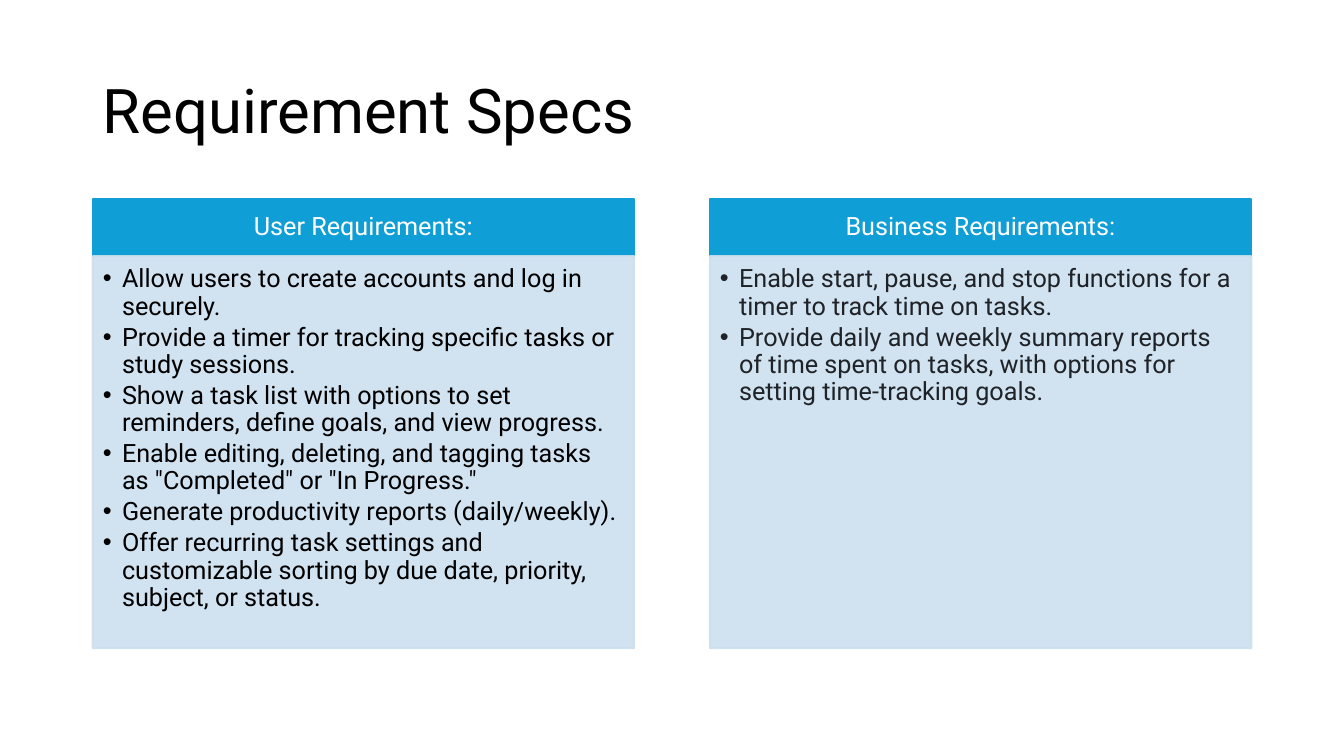
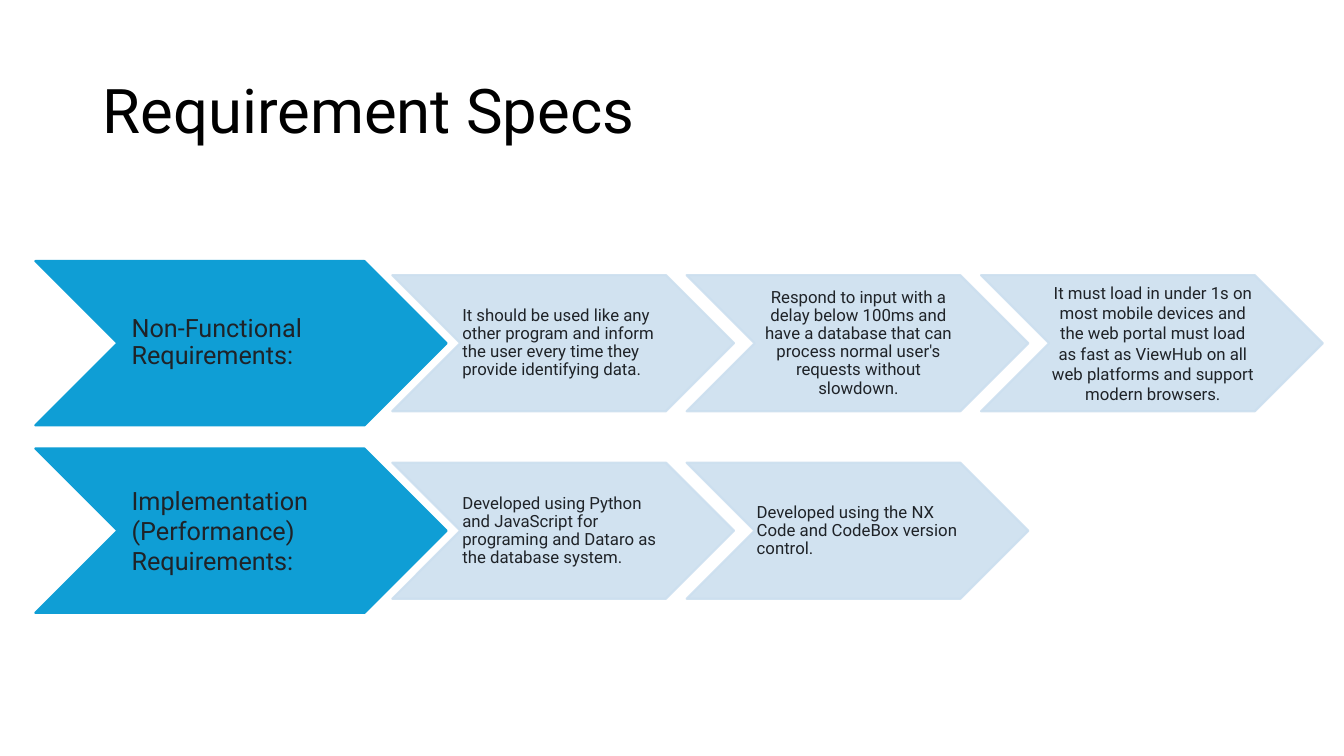
from dataclasses import dataclass
from itertools import chain

from lxml.etree import SubElement
from pptx import Presentation
from pptx.dml.color import RGBColor
from pptx.enum.shapes import MSO_SHAPE
from pptx.enum.text import MSO_ANCHOR, MSO_AUTO_SIZE, PP_ALIGN
from pptx.oxml.ns import qn
from pptx.util import Emu, Pt

PX = 9144
FONT = "Roboto"
COLORS = {
    "accent": "0F9ED5",
    "pale": "CCDFEF",
    "black": "000000",
    "white": "FFFFFF",
    "ink": "1F2328",
}
LEFT, CENTER = PP_ALIGN.LEFT, PP_ALIGN.CENTER
HEAD_INSETS = (14, 8, 14, 8)
LIST_INSETS = (10, 10, 14, 16)
STEP_INSETS = (2, 1, 0, 1)
COL_W, COL_TOP, HEAD_H, LIST_H = 537, 197, 57, 389
LEAD_X, LEAD_TOP, LEAD_W, LEAD_H, ROW_PITCH = 35, 259, 408, 163, 186
STEP_X, STEP_W, STEP_H, STEP_PITCH = 389, 339, 135, 292


@dataclass(frozen=True)
class Column:
    x: int
    heading: str
    items: tuple[str, ...]
    color: str


@dataclass(frozen=True)
class Step:
    text: str
    align: PP_ALIGN = LEFT
    spacing: float = 0.9


@dataclass(frozen=True)
class Row:
    lead: Step
    steps: tuple[Step, ...]


COLUMNS = (
    Column(92, "User Requirements:", (
        "Allow users to create accounts and log in securely.",
        "Provide a timer for tracking specific tasks or study sessions.",
        "Show a task list with options to set reminders, define goals, and view progress.",
        'Enable editing, deleting, and tagging tasks as "Completed" or "In Progress."',
        "Generate productivity reports (daily/weekly).",
        "Offer recurring task settings and customizable sorting by due date, priority, "
        "subject, or status.",
    ), "black"),
    Column(704, "Business Requirements:", (
        "Enable start, pause, and stop functions for a timer to track time on tasks.",
        "Provide daily and weekly summary reports of time spent on tasks, with options "
        "for setting time-tracking goals.",
    ), "ink"),
)

ROWS = (
    Row(Step("Non-Functional Requirements:"), (
        Step("It should be used like any other program and inform the user every time "
             "they provide identifying data."),
        Step("Respond to input with a delay below 100ms and have a database that can "
             "process normal user's requests without slowdown.", CENTER),
        Step("It must load in under 1s on most mobile devices and the web portal must "
             "load as fast as ViewHub on all web platforms and support modern browsers.",
             CENTER, 1.0),
    )),
    Row(Step("Implementation (Performance) Requirements:", spacing=1.0), (
        Step("Developed using Python and JavaScript for programing and Dataro as the "
             "database system."),
        Step("Developed using the NX Code and CodeBox version control."),
    )),
)


def rgb(name: str) -> RGBColor:
    return RGBColor.from_string(COLORS[name])


def place(sp, x: int, y: int, w: int, h: int) -> None:
    sp.left, sp.top, sp.width, sp.height = (Emu(v * PX) for v in (x, y, w, h))


def paint(sp, color: str, alpha: int = 100) -> None:
    sp.fill.solid()
    sp.fill.fore_color.rgb = rgb(color)
    sp.line.color.rgb = rgb(color)
    sp.line.width = Pt(1.5)
    if alpha < 100:
        props = sp._element.spPr
        for clr in chain(props.findall(f"{qn('a:solidFill')}/{qn('a:srgbClr')}"),
                         props.findall(f"{qn('a:ln')}//{qn('a:srgbClr')}")):
            SubElement(clr, qn("a:alpha")).set("val", str(alpha * 1000))


def add_bullet(p, indent: int) -> None:
    pPr = p._p.get_or_add_pPr()
    pPr.set("marL", str(indent * PX))
    pPr.set("indent", str(-indent * PX))
    SubElement(pPr, qn("a:buChar")).set("char", "•")


def write(sp, *texts: str, size: int = 18, color: str = "ink", align: PP_ALIGN = LEFT,
          anchor: MSO_ANCHOR = MSO_ANCHOR.MIDDLE, spacing: float = 0.9,
          insets: tuple[int, int, int, int] = HEAD_INSETS,
          bullet: bool = False, after: float = 0) -> None:
    tf = sp.text_frame
    tf.word_wrap = True
    tf.auto_size = MSO_AUTO_SIZE.NONE
    tf.vertical_anchor = anchor
    tf.margin_left, tf.margin_top, tf.margin_right, tf.margin_bottom = (
        Emu(v * PX) for v in insets)
    for i, text in enumerate(texts):
        p = tf.add_paragraph() if i else tf.paragraphs[0]
        p.alignment = align
        p.line_spacing = spacing
        p.space_before = Pt(0)
        p.space_after = Pt(after)
        if bullet:
            add_bullet(p, 19)
        r = p.add_run()
        r.text = text
        r.font.name = FONT
        r.font.size = Pt(size)
        r.font.bold = False
        r.font.color.rgb = rgb(color)


def add_titled_slide(prs, layout: int):
    s = prs.slides.add_slide(prs.slide_layouts[layout])
    place(s.shapes.title, 92, 40, 1150, 145)
    write(s.shapes.title, "Requirement Specs", size=44, color="black",
          insets=(10, 5, 10, 5))
    return s


def add_column(head, body, col: Column) -> None:
    place(head, col.x, COL_TOP, COL_W, HEAD_H)
    paint(head, "accent")
    write(head, col.heading, color="white", align=CENTER)
    place(body, col.x, COL_TOP + HEAD_H, COL_W, LIST_H)
    paint(body, "pale", alpha=90)
    write(body, *col.items, color=col.color, anchor=MSO_ANCHOR.TOP,
          insets=LIST_INSETS, bullet=True, after=2.7)


def add_chevron(s, step: Step, box: tuple[int, int, int, int], fill: str, alpha: int,
                size: int, insets: tuple[int, int, int, int]) -> None:
    sp = s.shapes.add_shape(MSO_SHAPE.CHEVRON, *(Emu(v * PX) for v in box))
    sp.shadow.inherit = False
    paint(sp, fill, alpha)
    write(sp, step.text, size=size, align=step.align, spacing=step.spacing, insets=insets)


def add_row(s, row: Row, top: int) -> None:
    add_chevron(s, row.lead, (LEAD_X, top, LEAD_W, LEAD_H), "accent", 100, 18, HEAD_INSETS)
    step_top = top + (LEAD_H - STEP_H) // 2
    for i, step in enumerate(row.steps):
        add_chevron(s, step, (STEP_X + i * STEP_PITCH, step_top, STEP_W, STEP_H),
                    "pale", 90, 12, STEP_INSETS)


def main() -> None:
    prs = Presentation()
    prs.slide_width, prs.slide_height = Emu(1333 * PX), Emu(750 * PX)

    s = add_titled_slide(prs, 4)
    for i, col in enumerate(COLUMNS):
        add_column(s.placeholders[1 + 2 * i], s.placeholders[2 + 2 * i], col)

    s = add_titled_slide(prs, 5)
    for i, row in enumerate(ROWS):
        add_row(s, row, LEAD_TOP + i * ROW_PITCH)

    prs.save("out.pptx")


if __name__ == "__main__":
    main()
